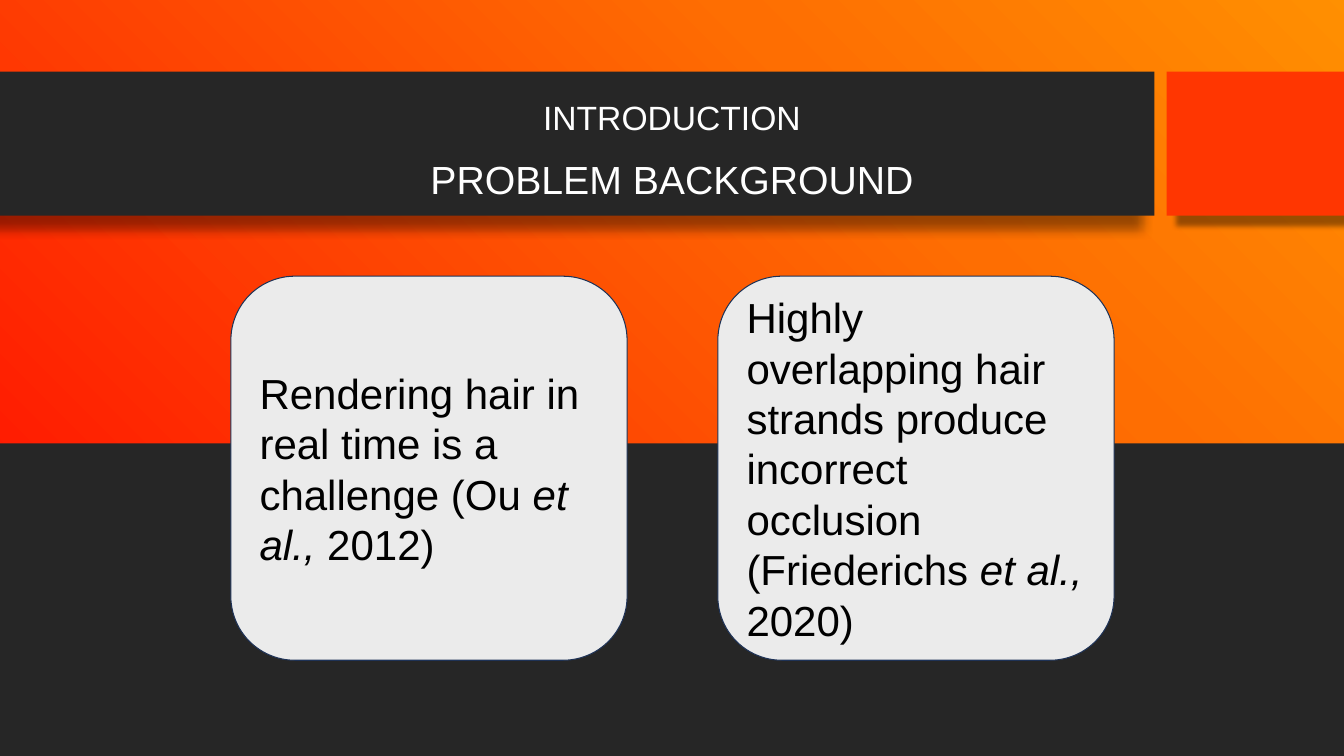
"""Build the slide on the problem background of hair rendering."""
from dataclasses import dataclass

from pptx import Presentation, oxml
from pptx.dml.color import RGBColor
from pptx.enum import shapes, text
from pptx.oxml import ns
from pptx.util import Inches, Pt


@dataclass(frozen=True)
class Theme:
    """Colours, font and type sizes of the slide."""
    dark: str = "262626"
    accent: str = "FF3601"
    card: str = "EBEBEB"
    edge: str = "1E3256"
    ink: str = "000000"
    light: str = "FFFFFF"
    glow: tuple = ((1, "FF9201"), (31, "FE6E02"), (100, "FF0101"))
    font: str = "Arial"
    intro: int = 24
    title: int = 28
    body: int = 30


THEME = Theme()
KIND = shapes.MSO_SHAPE


def style(run, size, color, italic=False):
    """Set the font of one run."""
    font = run.font
    font.name, font.size, font.italic = THEME.font, Pt(size), italic
    font.color.rgb = RGBColor.from_string(color)


def block(slide, kind, box, color):
    """Add a flat shape without a line."""
    shape = slide.shapes.add_shape(kind, *map(Inches, box))
    shape.shadow.inherit = False
    shape.fill.solid()
    shape.fill.fore_color.rgb = RGBColor.from_string(color)
    shape.line.fill.background()
    return shape


def glow(shape):
    """Fill a shape with a round gradient from its top right corner."""
    stops = "".join(
        f'<a:gs pos="{pos * 1000}"><a:srgbClr val="{color}"/></a:gs>'
        for pos, color in THEME.glow)
    grad = oxml.parse_xml(
        f'<a:gradFill {ns.nsdecls("a")} rotWithShape="1">'
        f'<a:gsLst>{stops}</a:gsLst><a:path path="circle">'
        '<a:fillToRect l="100000" b="100000"/></a:path></a:gradFill>')
    props = shape.element.spPr
    props.replace(props.find(ns.qn("a:solidFill")), grad)


def shade(shape, blur, dist, angle):
    """Cast a soft black shadow."""
    effects = shape.element.spPr.find(ns.qn("a:effectLst"))
    effects.append(oxml.parse_xml(
        f'<a:outerShdw {ns.nsdecls("a")} blurRad="{Pt(blur)}" '
        f'dist="{Pt(dist)}" dir="{angle * 60000}" algn="ctr" '
        f'rotWithShape="0"><a:srgbClr val="{THEME.ink}">'
        '<a:alpha val="40000"/></a:srgbClr></a:outerShdw>'))


def heading(shape, words, size, space):
    """Write one centred line of the header."""
    frame = shape.text_frame
    frame.text = words
    frame.word_wrap = True
    frame.auto_size = text.MSO_AUTO_SIZE.NONE
    frame.vertical_anchor = text.MSO_ANCHOR.TOP
    para = frame.paragraphs[0]
    para.alignment = text.PP_ALIGN.CENTER
    para.line_spacing = space
    style(para.runs[0], size, THEME.light)


def card(slide, left, claim, year):
    """Add a rounded card with a claim and its citation."""
    shape = block(slide, KIND.ROUNDED_RECTANGLE,
                  (left, 2.74, 3.93, 3.81), THEME.card)
    shape.line.color.rgb = RGBColor.from_string(THEME.edge)
    shape.line.width = Pt(0.75)
    frame = shape.text_frame
    frame.word_wrap = True
    frame.vertical_anchor = text.MSO_ANCHOR.MIDDLE
    para = frame.paragraphs[0]
    para.alignment = text.PP_ALIGN.LEFT
    for words, italic in ((claim, False), ("et al., ", True), (year, False)):
        run = para.add_run()
        run.text = words
        style(run, THEME.body, THEME.ink, italic)


def main():
    """Build and save the slide."""
    deck = Presentation()
    deck.slide_width, deck.slide_height = Inches(13.33), Inches(7.5)
    slide = deck.slides.add_slide(deck.slide_layouts[5])

    glow(block(slide, KIND.ROUNDED_RECTANGLE,
               (-0.45, -0.36, 14.24, 8.21), THEME.dark))
    for box, color, shadow in (
            ((0, 4.4, 13.33, 3.1), THEME.dark, (8, 13, 135)),
            ((0, 0.71, 11.45, 1.43), THEME.dark, (8, 13, 135)),
            ((11.57, 0.71, 1.76, 1.43), THEME.accent, (4, 10, 45))):
        shade(block(slide, KIND.RECTANGLE, box, color), *shadow)

    intro = slide.shapes.add_textbox(*map(Inches, (4.11, 0.71, 5.11, 0.64)))
    heading(intro, "INTRODUCTION", THEME.intro, 1.5)
    title = slide.shapes.title
    title.left, title.top, title.width, title.height = map(
        Inches, (3.8, 1.49, 5.73, 0.57))
    heading(title, "PROBLEM BACKGROUND", THEME.title, 1.0)
    intro.element.addnext(title.element)

    card(slide, 2.29, "Rendering hair in real time is a challenge (Ou ",
         "2012)")
    card(slide, 7.12, "Highly overlapping hair strands produce incorrect "
         "occlusion (Friederichs ", "2020)")
    deck.save("out.pptx")


if __name__ == "__main__":
    main()
